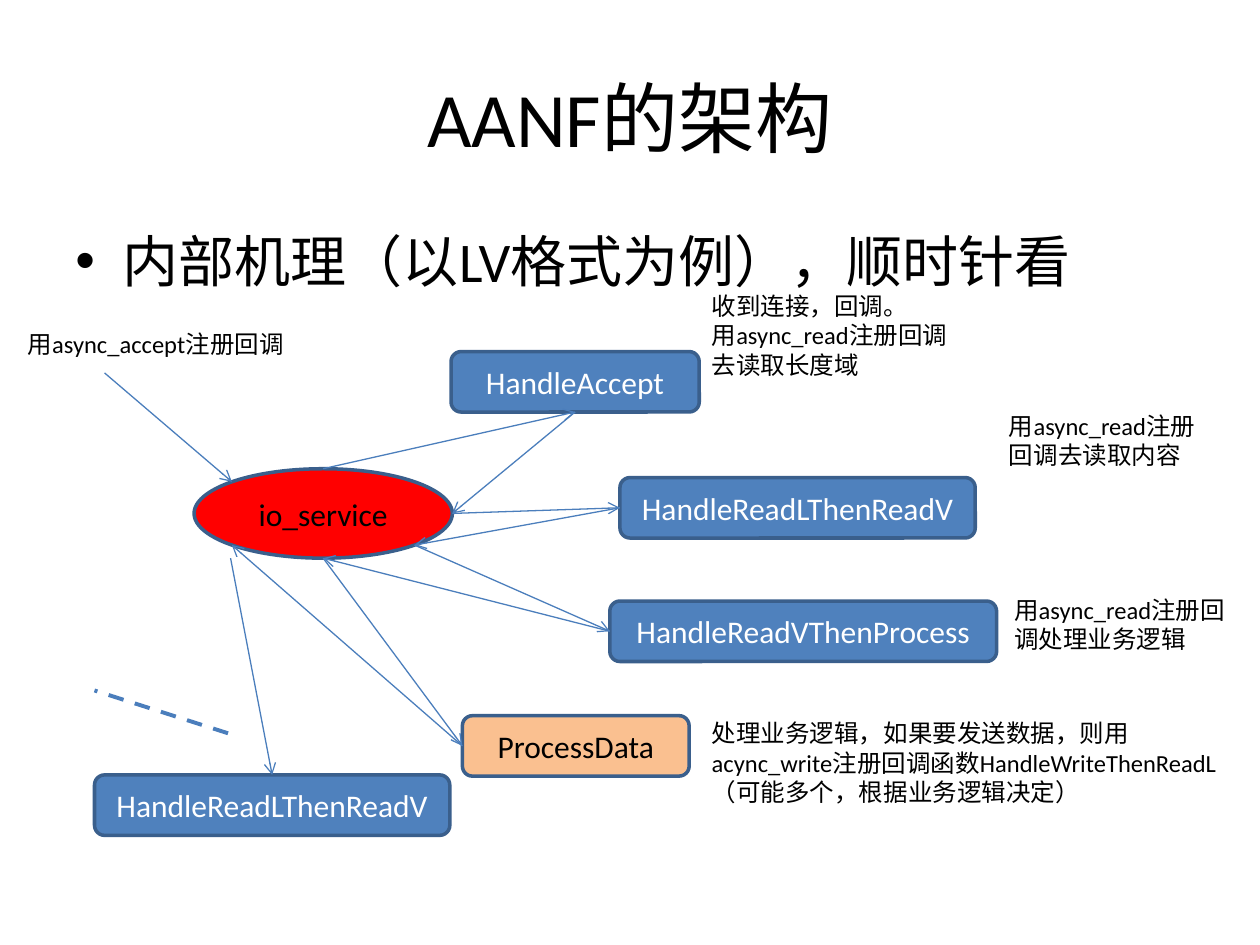
from dataclasses import dataclass
from math import sqrt
from typing import Optional

from lxml import etree
from pptx import Presentation
from pptx.dml.color import RGBColor
from pptx.enum import dml, shapes, text
from pptx.oxml.ns import qn
from pptx.util import Pt

COLS, ROWS = 100, 75
BLUE, EDGE, WIRE = "4F81BD", "3A5F8C", "4B7EBC"
BLACK, WHITE = "000000", "FFFFFF"
TOP, LEFT, BOTTOM, RIGHT = range(4)
DIAGONAL = sqrt(0.5)
SIDES = {TOP: (0, -1), LEFT: (-1, 0), BOTTOM: (0, 1), RIGHT: (1, 0),
         "top left": (-DIAGONAL, -DIAGONAL),
         "bottom left": (-DIAGONAL, DIAGONAL),
         "bottom right": (DIAGONAL, DIAGONAL)}


@dataclass
class Node:
    label: str
    col: float
    row: float
    cols: float
    rows: float = 4.8
    fill: str = BLUE
    color: str = WHITE
    kind: shapes.MSO_SHAPE = shapes.MSO_SHAPE.ROUNDED_RECTANGLE

    def site(self, side) -> tuple:
        dx, dy = SIDES[side]
        return (self.col + self.cols * (1 + dx) / 2,
                self.row + self.rows * (1 + dy) / 2)


@dataclass
class Label:
    lines: str
    col: float
    row: float
    cols: float
    rows: float
    size: float = 14
    align: Optional[text.PP_ALIGN] = None
    anchor: text.MSO_ANCHOR = text.MSO_ANCHOR.TOP
    bullet: bool = False


@dataclass
class End:
    name: str
    side: object


NODES = {
    "service": Node("io_service", 15.4, 37.2, 20.5, 7.1, "FF0000", BLACK,
                    shapes.MSO_SHAPE.OVAL),
    "accept": Node("HandleAccept", 35.8, 27.9, 19.7),
    "length": Node("HandleReadLThenReadV", 49.2, 37.9, 28.2),
    "value": Node("HandleReadVThenProcess", 48.4, 47.7, 30.7),
    "process": Node("ProcessData", 36.7, 56.8, 18, fill="FAC090", color=BLACK),
    "next": Node("HandleReadLThenReadV", 7.5, 61.5, 28.2),
}

LABELS = [
    Label("AANF的架构", 5, 3, 90, 12.5, 44, text.PP_ALIGN.CENTER,
          text.MSO_ANCHOR.MIDDLE),
    Label("内部机理（以LV格式为例），顺时针看", 5, 17.5, 90, 49.5, 32, bullet=True),
    Label("用async_accept注册回调", 1.2, 25.6, 22.5, 3.4),
    Label("收到连接，回调。\n用async_read注册回调\n去读取长度域", 55.5, 22.6, 20.9, 8.1),
    Label("用async_read注册回调去读取内容", 79.1, 32.1, 17.3, 5.7),
    Label("用async_read注册回调处理业务逻辑", 79.5, 46.7, 19.5, 5.7),
    Label("处理业务逻辑，如果要发送数据，则用acync_write注册回调函数"
          "HandleWriteThenReadL（可能多个，根据业务逻辑决定）", 55.5, 56.5, 44.5, 8.1),
]

LINKS = [
    ((8.3, 29.6), End("service", "top left")),
    (End("service", TOP), End("accept", BOTTOM)),
    (End("accept", BOTTOM), End("service", RIGHT)),
    (End("service", RIGHT), End("length", LEFT)),
    (End("length", LEFT), End("service", "bottom right")),
    (End("service", "bottom right"), End("value", LEFT)),
    (End("value", LEFT), End("service", BOTTOM)),
    (End("service", BOTTOM), End("process", LEFT)),
    (End("process", LEFT), End("service", "bottom left")),
    ((18.3, 44.3), End("next", TOP)),
]

prs = Presentation()
prs.slide_width, prs.slide_height = Pt(720), Pt(540)
s = prs.slides.add_slide(prs.slide_layouts[6])


def rgb(color: str) -> RGBColor:
    return RGBColor.from_string(color)


def x(col: float) -> int:
    return round(prs.slide_width * col / COLS)


def y(row: float) -> int:
    return round(prs.slide_height * row / ROWS)


def write(tf, content: str, size: float, color: str, align) -> None:
    tf.word_wrap = True
    tf.text = content
    for p in tf.paragraphs:
        p.alignment = align
        for r in p.runs:
            r.font.name, r.font.size = "Calibri", Pt(size)
            r.font.color.rgb = rgb(color)


def add_node(node: Node):
    sp = s.shapes.add_shape(node.kind, x(node.col), y(node.row),
                            x(node.cols), y(node.rows))
    sp.shadow.inherit = False
    sp.fill.solid()
    sp.fill.fore_color.rgb = rgb(node.fill)
    sp.line.color.rgb, sp.line.width = rgb(EDGE), Pt(2)
    sp.text_frame.vertical_anchor = text.MSO_ANCHOR.MIDDLE
    write(sp.text_frame, node.label, 18, node.color, text.PP_ALIGN.CENTER)
    return sp


def add_label(label: Label) -> None:
    tf = s.shapes.add_textbox(x(label.col), y(label.row), x(label.cols),
                              y(label.rows)).text_frame
    tf.vertical_anchor = label.anchor
    write(tf, label.lines, label.size, BLACK, label.align)
    if label.bullet:
        p = tf.paragraphs[0]
        p.space_before = Pt(label.size * 0.2)
        pPr = p._p.get_or_add_pPr()
        pPr.set("marL", str(Pt(27)))
        pPr.set("indent", str(-Pt(27)))
        etree.SubElement(pPr, qn("a:buFont"), typeface="Arial")
        etree.SubElement(pPr, qn("a:buChar"), char="•")


def add_line(start: tuple, end: tuple, width: float):
    cxn = s.shapes.add_connector(shapes.MSO_CONNECTOR.STRAIGHT, x(start[0]),
                                 y(start[1]), x(end[0]), y(end[1]))
    cxn.line.color.rgb, cxn.line.width = rgb(WIRE), Pt(width)
    etree.SubElement(cxn._element.spPr, qn("a:effectLst"))
    return cxn


def add_link(start, end, drawn: dict) -> None:
    points = [NODES[e.name].site(e.side) if isinstance(e, End) else e
              for e in (start, end)]
    cxn = add_line(*points, 0.75)
    etree.SubElement(cxn.line._get_or_add_ln(), qn("a:tailEnd"), type="arrow")
    for e, connect in ((start, cxn.begin_connect), (end, cxn.end_connect)):
        if isinstance(e, End) and e.name != "service":
            connect(drawn[e.name], e.side)


for label in LABELS:
    add_label(label)
drawn = {name: add_node(node) for name, node in NODES.items()}
for start, end in LINKS:
    add_link(start, end, drawn)
add_line((18.1, 58.2), (7.5, 54.8), 2.25).line.dash_style = dml.MSO_LINE.DASH
prs.save("out.pptx")
